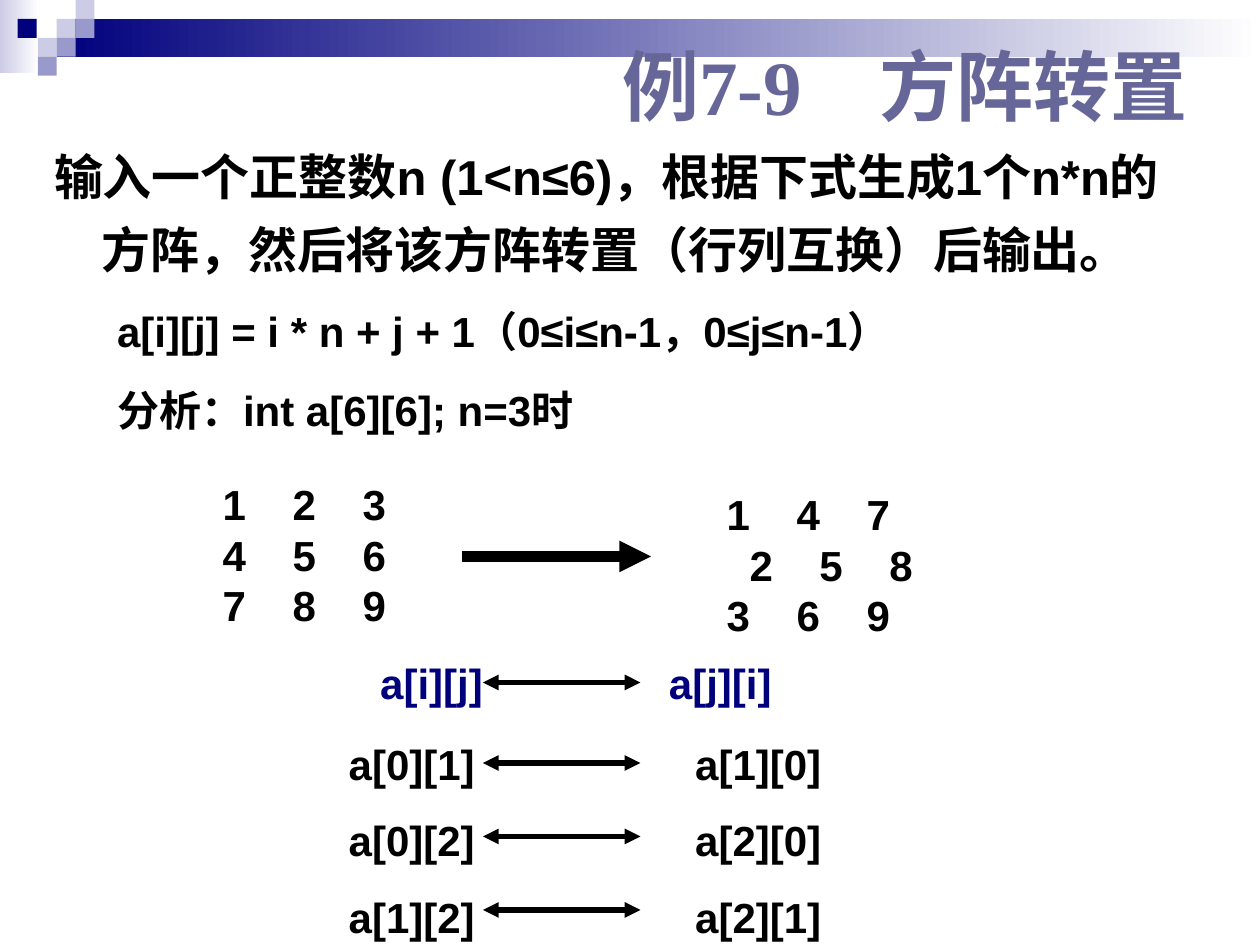
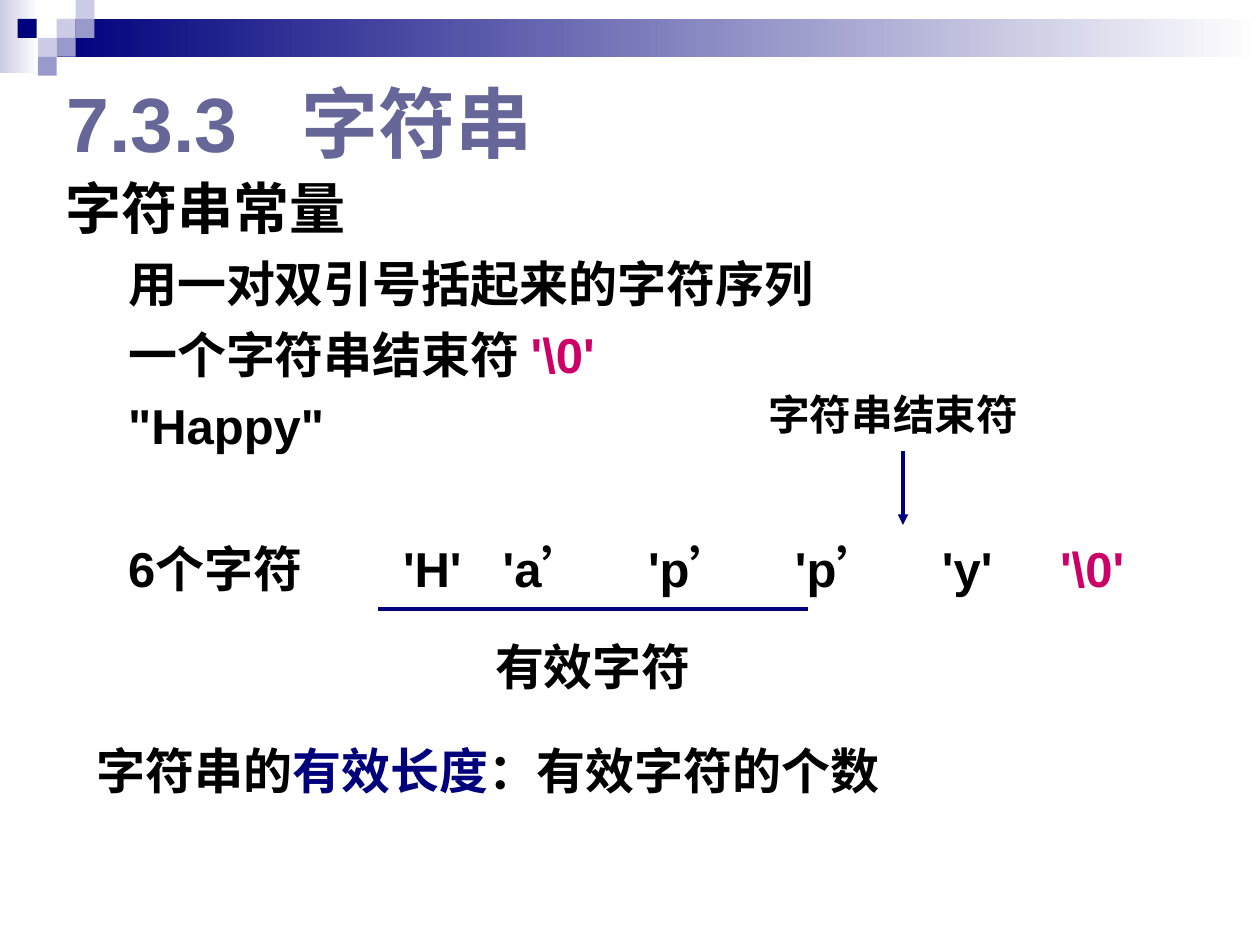
import pptx
import pptx.dml.color
import pptx.enum.shapes
import pptx.enum.text
import pptx.oxml.ns
import pptx.util
from lxml import etree

Pt = pptx.util.Pt
RGBColor = pptx.dml.color.RGBColor
qn = pptx.oxml.ns.qn

BLACK = RGBColor(0x00, 0x00, 0x00)
WHITE = RGBColor(0xFF, 0xFF, 0xFF)
NAVY = RGBColor(0x00, 0x00, 0x7D)
LILAC = RGBColor(0x99, 0x99, 0xCC)
PALE = RGBColor(0xCC, 0xCC, 0xE6)
SLATE = RGBColor(0x66, 0x66, 0x99)
MAGENTA = RGBColor(0xCC, 0x00, 0x66)


def add_text(slide, box, lines, size=24, color=BLACK, font="Arial", tabs=(), space_before=0):
    """Add bold text; a line is a string or a list of (text, colour) runs. Return the shape."""
    shape = slide.shapes.add_textbox(*map(Pt, box))
    frame = shape.text_frame
    frame.word_wrap = True
    for number, line in enumerate(lines):
        paragraph = frame.add_paragraph() if number else frame.paragraphs[0]
        if tabs:
            tab_list = etree.SubElement(paragraph._p.get_or_add_pPr(), qn("a:tabLst"))
            for position in tabs:
                etree.SubElement(tab_list, qn("a:tab"), pos=str(Pt(position)), algn="l")
        if number:
            paragraph.space_before = Pt(space_before)
        paragraph.font.name = font
        paragraph.font.size = Pt(size)
        paragraph.font.bold = True
        paragraph.font.color.rgb = color
        for text, run_color in [(line, color)] if isinstance(line, str) else line:
            run = paragraph.add_run()
            run.text = text
            if run_color != color:
                run.font.color.rgb = run_color
    return shape


def add_line(slide, start, end, color, width, arrows=()):
    line = slide.shapes.add_connector(
        pptx.enum.shapes.MSO_CONNECTOR.STRAIGHT, *map(Pt, start + end))
    line.line.color.rgb = color
    line.line.width = Pt(width)
    for arrow in arrows:
        etree.SubElement(line.line._get_or_add_ln(), qn(arrow), type="triangle")
    etree.SubElement(line._element.spPr, qn("a:effectLst"))


presentation = pptx.Presentation()
presentation.slide_width = Pt(720)
presentation.slide_height = Pt(540)

# Band and squares at the top, then the title, on each slide
SQUARE = 10.8
BAND = [
    ((0, 0, 22.3, 41.8), (PALE, WHITE)),
    ((32.4, SQUARE, 687.6, 21.6), (NAVY, WHITE)),
    ((10.1, SQUARE, SQUARE, SQUARE), NAVY),
]
for column, row, color in [(3, 1, PALE), (4, 0, PALE), (4, 1, LILAC), (2, 2, PALE),
                           (3, 2, LILAC), (2, 3, LILAC)]:
    BAND.append(((column * SQUARE, row * SQUARE, SQUARE, SQUARE), color))

TITLES = [
    ("例7-9\t方阵转置", (348.5, 15.1, 354.2, 66.2), "Times New Roman", 147),
    ("7.3.3\t字符串", (31, 25.9, 290.2, 87.1), "Arial", 134),
]
slides = []
for title, title_box, title_font, title_tab in TITLES:
    slide = presentation.slides.add_slide(presentation.slide_layouts[6])
    slides.append(slide)
    for box, fill in BAND:
        shape = slide.shapes.add_shape(
            pptx.enum.shapes.MSO_SHAPE.RECTANGLE, *map(Pt, box))
        shape.shadow.inherit = False
        shape.line.fill.background()
        if isinstance(fill, RGBColor):
            shape.fill.solid()
            shape.fill.fore_color.rgb = fill
        else:
            shape.fill.gradient()
            shape.fill.gradient_angle = 0
            for stop, color in zip(shape.fill.gradient_stops, fill):
                stop.color.rgb = color
    shape = add_text(slide, title_box, [title], 44, SLATE, title_font, [title_tab])
    shape.text_frame.vertical_anchor = pptx.enum.text.MSO_ANCHOR.MIDDLE

transpose_slide, string_slide = slides

# Transposing a square matrix
task = add_text(transpose_slide, (23.8, 72, 670.3, 180.7), [
    "输入一个正整数n (1<n≤6)，根据下式生成1个n*n的方阵，然后将该方阵转置（行列互换）后输出。",
    "a[i][j] = i * n + j + 1（0≤i≤n-1，0≤j≤n-1）",
    "分析：int a[6][6]; n=3时",
], space_before=9)
for paragraph in task.text_frame.paragraphs:
    paragraph.line_spacing = 1.24
task.text_frame.paragraphs[0].font.size = Pt(28)

add_text(transpose_slide, (120.2, 270, 138.2, 93.6),
         ["1\t2\t3", "4\t5\t6", "7\t8\t9"], tabs=[40, 80])
add_line(transpose_slide, (264, 318), (372, 318), BLACK, 6, ["a:tailEnd"])
add_text(transpose_slide, (408.2, 275.8, 138.2, 93.6),
         ["1\t4\t7", "\t2\t5\t8", "3\t6\t9"], tabs=[40, 80])
shifted_row = transpose_slide.shapes[-1].text_frame.paragraphs[1]
for tab, position in zip(shifted_row._p.pPr.find(qn("a:tabLst")), [13, 53]):
    tab.set("pos", str(Pt(position)))
etree.SubElement(shifted_row._p.pPr.find(qn("a:tabLst")), qn("a:tab"),
                 pos=str(Pt(93)), algn="l")

add_text(transpose_slide, (210.2, 372.2, 240, 36), ["a[i][j]\ta[j][i]"],
         color=NAVY, tabs=[165])
add_text(transpose_slide, (192.2, 418.3, 342, 123),
         ["a[0][1]\ta[1][0]", "a[0][2]\ta[2][0]", "a[1][2]\ta[2][1]"],
         tabs=[198], space_before=15)
for y in (390, 436, 478, 520):
    add_line(transpose_slide, (276, y), (366, y), BLACK, 3, ["a:headEnd", "a:tailEnd"])

# String constants
constant = add_text(string_slide, (30.2, 95.8, 660.2, 180), [
    "字符串常量",
    "用一对双引号括起来的字符序列",
    [("一个字符串结束符 ", BLACK), ("'\\0'", MAGENTA)],
    '"Happy"',
], 28, space_before=7)
constant.text_frame.paragraphs[0].font.size = Pt(32)

add_text(string_slide, (66.2, 304, 630, 48), [
    [("6个字符\t'H'\t'a’\t'p’\t'p’\t'y'\t", BLACK), ("'\\0'", MAGENTA)],
], 28, tabs=[157, 214, 297, 381, 465, 532.5])
add_line(string_slide, (216, 348), (462, 348), NAVY, 2)
add_text(string_slide, (275.8, 360, 138.2, 48), ["有效字符"], 28)

end_mark = add_text(string_slide, (432, 221.8, 185.8, 36), ["字符串结束符"], 23.8)
end_mark.text_frame.paragraphs[0].line_spacing = 0.9
add_line(string_slide, (516, 258), (516, 300), NAVY, 2, ["a:tailEnd"])
add_text(string_slide, (48.2, 419.8, 504, 60), [
    [("字符串的", BLACK), ("有效长度", NAVY), ("：有效字符的个数", BLACK)],
], 28)

# Hanging first lines and indented second level of both body texts
for body in (task, constant):
    for level, paragraph in enumerate(body.text_frame.paragraphs):
        margin, hanging = (58, -22) if level else (27, -27)
        properties = paragraph._p.get_or_add_pPr()
        properties.set("marL", str(Pt(margin)))
        properties.set("indent", str(Pt(hanging)))

presentation.save("out.pptx")
